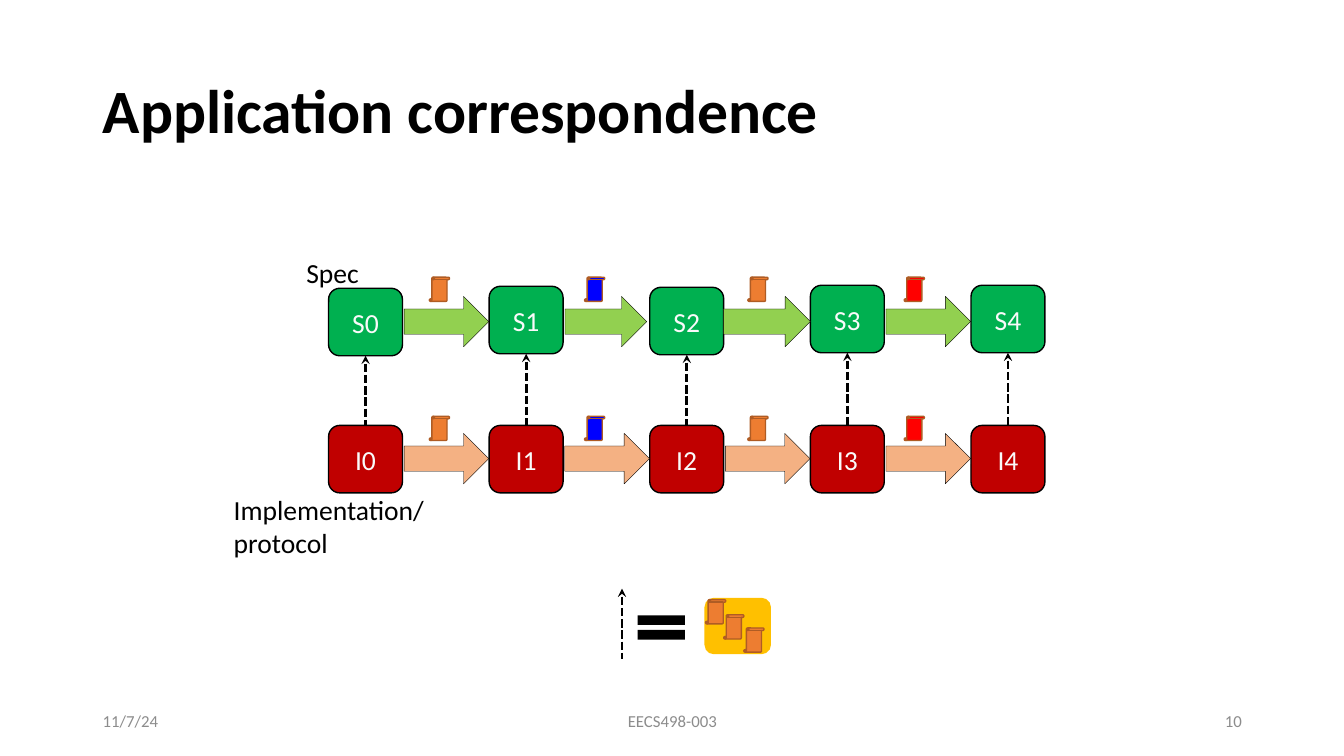
from dataclasses import dataclass

from lxml import etree
from pptx import Presentation
from pptx.dml.color import RGBColor
from pptx.enum.dml import MSO_LINE
from pptx.enum.shapes import MSO_CONNECTOR, MSO_SHAPE
from pptx.enum.text import MSO_ANCHOR, PP_ALIGN
from pptx.oxml.ns import qn
from pptx.util import Inches, Pt

ROUNDED, ARROW = MSO_SHAPE.ROUNDED_RECTANGLE, MSO_SHAPE.RIGHT_ARROW
SCROLL, EQUAL = MSO_SHAPE.VERTICAL_SCROLL, MSO_SHAPE.MATH_EQUAL
STRAIGHT, DASH = MSO_CONNECTOR.STRAIGHT, MSO_LINE.SQUARE_DOT
LEFT, CENTER, RIGHT = PP_ALIGN.LEFT, PP_ALIGN.CENTER, PP_ALIGN.RIGHT
TOP, MIDDLE = MSO_ANCHOR.TOP, MSO_ANCHOR.MIDDLE
TOP_SIDE, BOTTOM_SIDE = 0, 2

BLACK = RGBColor(0x00, 0x00, 0x00)
OFF_WHITE = RGBColor(0xFA, 0xFA, 0xFA)
GRAY = RGBColor(0x8C, 0x8C, 0x8C)
GREEN = RGBColor(0x00, 0xB0, 0x50)
LIME = RGBColor(0x92, 0xD0, 0x50)
DARK_RED = RGBColor(0xC0, 0x00, 0x00)
PEACH = RGBColor(0xF4, 0xB1, 0x83)
GOLD = RGBColor(0xFF, 0xC0, 0x00)
ORANGE = RGBColor(0xED, 0x7D, 0x31)
BROWN = RGBColor(0xAF, 0x5C, 0x24)
BLUE = RGBColor(0x00, 0x00, 0xFF)
RED = RGBColor(0xFF, 0x00, 0x00)

WIDTH, HEIGHT = Inches(13.33), Inches(7.5)

# All positions are percentages of the slide's width and height
FIRST_STATE, PITCH = 24.45, 11.95
STATE_WIDTH, STATE_HEIGHT = 5.5, 8.93
ARROW_HEIGHT = 6.67


@dataclass(frozen=True)
class Box:
    left: float
    top: float
    width: float
    height: float

    def lengths(self) -> tuple:
        return (round(WIDTH * self.left / 100), round(HEIGHT * self.top / 100),
                round(WIDTH * self.width / 100), round(HEIGHT * self.height / 100))


@dataclass(frozen=True)
class Label:
    text: str
    box: Box
    size: float
    color: RGBColor
    align: int = LEFT
    anchor: int = TOP


@dataclass(frozen=True)
class Chain:
    prefix: str
    state_color: RGBColor
    arrow_color: RGBColor
    state_tops: tuple
    arrow_spans: tuple  # left and width of each arrow
    arrow_top: float
    scroll_top: float


SPEC_CHAIN = Chain("S", GREEN, LIME, (38.13, 37.87, 38, 37.73, 37.73),
                   ((30.07, 6.3), (42.04, 6.08), (53.85, 6.45), (65.92, 6.3)), 39.2, 36.67)
IMPLEMENTATION_CHAIN = Chain("I", DARK_RED, PEACH, (56.27,) * 5,
                             tuple((30.07 + PITCH * step, 6.3) for step in range(4)),
                             57.33, 55.07)
STEP_SCROLLS = ((31.95, ORANGE), (43.5, BLUE), (55.65, ORANGE), (67.28, RED))
LEGEND_SCROLLS = ((52.5, 79.33), (53.85, 81.33), (55.35, 83.07))

LABELS = (
    Label("Spec", Box(22.05, 33.2, 6, 5.73), 19.7, BLACK),
    Label("Implementation/\vprotocol", Box(16.65, 64.53, 22.58, 9.8), 19.7, BLACK),
    Label("11/7/24", Box(6.9, 92.67, 22.5, 5.33), 12, GRAY, LEFT, MIDDLE),
    Label("EECS498-003", Box(33.15, 92.67, 33.75, 5.33), 12, GRAY, CENTER, MIDDLE),
    Label("10", Box(70.65, 92.67, 22.5, 5.33), 12, GRAY, RIGHT, MIDDLE),
)


def write(shape, text: str, size: float, color: RGBColor, align: int = CENTER,
          anchor: int = MIDDLE, bold: bool = False) -> None:
    frame = shape.text_frame
    frame.word_wrap = True
    frame.vertical_anchor = anchor
    paragraph = frame.paragraphs[0]
    paragraph.text = text
    paragraph.alignment = align
    for run in paragraph.runs:
        for name, value in {"name": "Calibri", "size": Pt(size), "bold": bold}.items():
            setattr(run.font, name, value)
        run.font.color.rgb = color


def add_title(slide, text: str) -> None:
    title = slide.shapes.title
    box = Box(6.9, 5.33, 86.25, 19.33)
    for name, value in zip(("left", "top", "width", "height"), box.lengths()):
        setattr(title, name, value)
    write(title, text, 44, BLACK, LEFT, bold=True)
    title.text_frame.paragraphs[0].line_spacing = 0.9


def add_figure(slide, kind: int, box: Box, fill: RGBColor,
               line: RGBColor = BLACK, line_width: float = 0):
    shape = slide.shapes.add_shape(kind, *box.lengths())
    shape.shadow.inherit = False
    shape.fill.solid()
    shape.fill.fore_color.rgb = fill
    if line_width:
        shape.line.color.rgb = line
        shape.line.width = Pt(line_width)
    else:
        shape.line.fill.background()
    return shape


def add_scroll(slide, left: float, top: float, fill: RGBColor) -> None:
    add_figure(slide, SCROLL, Box(left, top, 1.5, 3.2), fill, BROWN, 1)


def add_dashed_arrow(slide, box: Box):
    """Draw a dashed line with its arrowhead at the top."""
    left, top, _, height = box.lengths()
    connector = slide.shapes.add_connector(STRAIGHT, left, top, left, top + height)
    connector.line.color.rgb = BLACK
    connector.line.width = Pt(2)
    connector.line.dash_style = DASH
    etree.SubElement(connector.line._get_or_add_ln(), qn("a:headEnd"), type="stealth")
    etree.SubElement(connector._element.spPr, qn("a:effectLst"))
    return connector


def add_chain(slide, chain: Chain) -> list:
    states = []
    for index, top in enumerate(chain.state_tops):
        box = Box(FIRST_STATE + PITCH * index, top, STATE_WIDTH, STATE_HEIGHT)
        state = add_figure(slide, ROUNDED, box, chain.state_color, BLACK, 1)
        state.text_frame.margin_left = state.text_frame.margin_right = 0
        write(state, f"{chain.prefix}{index}", 19.7, OFF_WHITE)
        states.append(state)
    for left, width in chain.arrow_spans:
        add_figure(slide, ARROW, Box(left, chain.arrow_top, width, ARROW_HEIGHT),
                   chain.arrow_color, BLACK, 0.25)
    for left, color in STEP_SCROLLS:
        add_scroll(slide, left, chain.scroll_top, color)
    return states


def main() -> None:
    presentation = Presentation()
    presentation.slide_width, presentation.slide_height = WIDTH, HEIGHT
    slide = presentation.slides.add_slide(presentation.slide_layouts[5])
    add_title(slide, "Application correspondence")

    # Row labels and footer
    for label in LABELS:
        text_box = slide.shapes.add_textbox(*label.box.lengths())
        write(text_box, label.text, label.size, label.color, label.align, label.anchor)

    # Two chains of states, each implementation state mapped to its counterpart
    upper_states = add_chain(slide, SPEC_CHAIN)
    lower_states = add_chain(slide, IMPLEMENTATION_CHAIN)
    for upper, lower in zip(upper_states, lower_states):
        connector = add_dashed_arrow(slide, Box(FIRST_STATE, 47, 0, 9))
        connector.begin_connect(upper, BOTTOM_SIDE)
        connector.end_connect(lower, TOP_SIDE)

    # Legend: the dashed arrow equals a set of scrolls
    add_dashed_arrow(slide, Box(46.28, 77.87, 0, 9.33))
    add_figure(slide, EQUAL, Box(46.8, 80.27, 4.8, 5.47), BLACK)
    add_figure(slide, ROUNDED, Box(52.42, 79.07, 4.95, 7.47), GOLD)
    for left, top in LEGEND_SCROLLS:
        add_scroll(slide, left, top, ORANGE)

    presentation.save("out.pptx")


if __name__ == "__main__":
    main()
